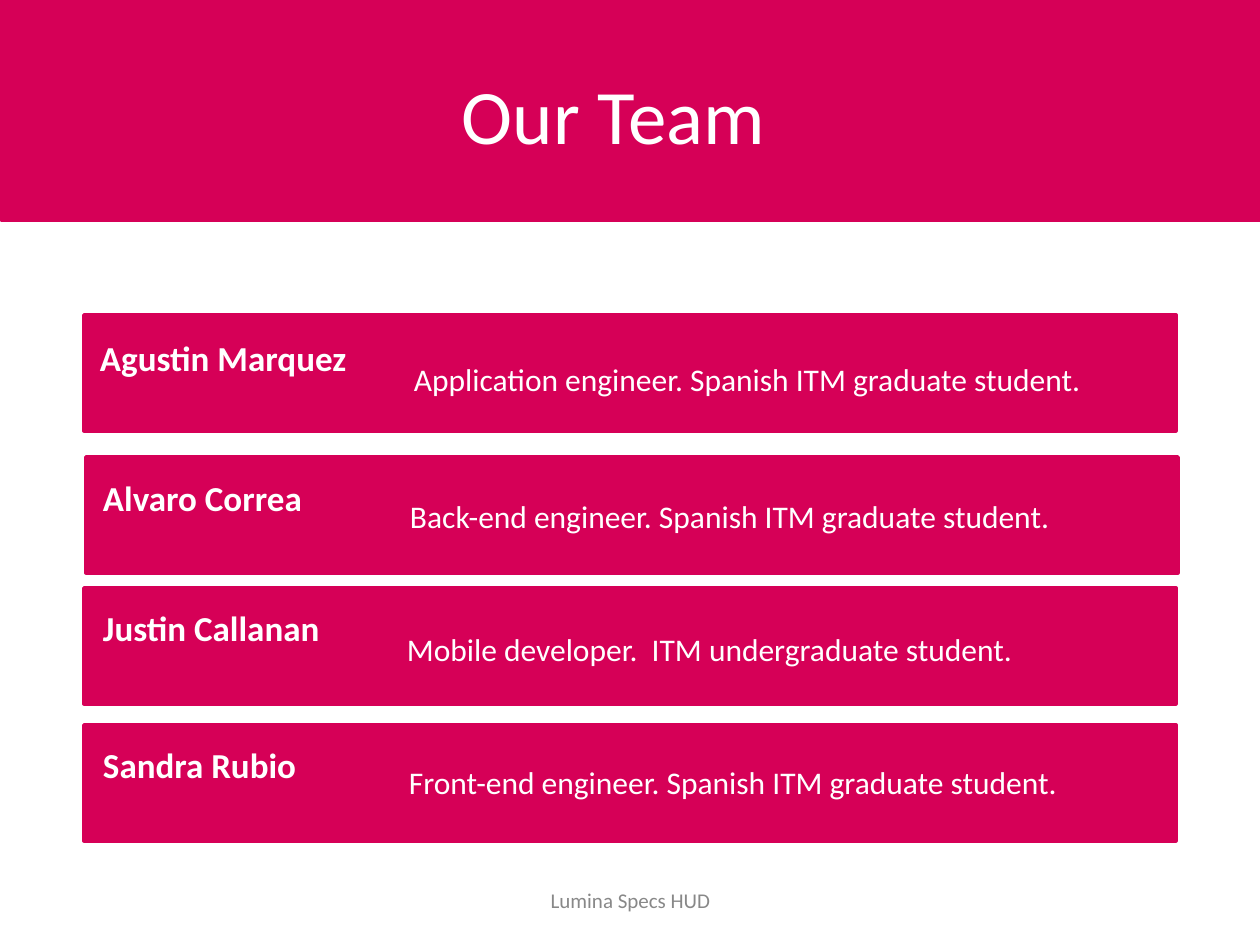
from pptx import Presentation
from pptx import util as u
from pptx.dml.color import RGBColor
from pptx.enum import shapes, text

PX_PER_INCH = 126
COLORS = {"brand": "D60057", "white": "FFFFFF", "gray": "888888"}
FONT = "Calibri"
INSET = 6
ROW_SIZE = (1092, 116)

# Row corner, name, name box, role, role box and role indent; boxes relative to the row
TEAM = [
    ((84, 315), "Agustin Marquez", (16, 13, 305, 58),
     "Application engineer. Spanish ITM graduate student.", (285, 39, 806, 64), 45),
    ((86, 457), "Alvaro Correa", (17, 12, 297, 57),
     "Back-end engineer. Spanish ITM graduate student.", (279, 34, 788, 68), 45),
    ((84, 588), "Justin Callanan", (19, 11, 297, 57),
     "Mobile developer.  ITM undergraduate student.", (271, 36, 757, 71), 52),
    ((84, 725), "Sandra Rubio", (19, 11, 297, 57),
     "Front-end engineer. Spanish ITM graduate student.", (280, 32, 791, 69), 45),
]


def px(length):
    return u.Emu(round(length * u.Inches(1) / PX_PER_INCH))


def color(name):
    return RGBColor.from_string(COLORS[name])


def add_panel(slide, box):
    """Add a rectangle in the brand colour."""
    panel = slide.shapes.add_shape(shapes.MSO_SHAPE.RECTANGLE, *map(px, box))
    panel.shadow.inherit = False
    panel.fill.solid()
    panel.fill.fore_color.rgb = color("brand")
    panel.line.color.rgb = color("brand")
    panel.line.width = u.Pt(2)
    return panel


def write(shape, words, size, fill="white", bold=False, align=text.PP_ALIGN.LEFT,
          anchor=text.MSO_ANCHOR.MIDDLE, inset=0, left=None):
    """Set one line of text; left overrides the inset on that side."""
    frame = shape.text_frame
    frame.text = words
    frame.word_wrap = True
    frame.auto_size = text.MSO_AUTO_SIZE.NONE
    frame.vertical_anchor = anchor
    frame.margin_top = frame.margin_right = frame.margin_bottom = px(inset)
    frame.margin_left = px(inset if left is None else left)
    paragraph = frame.paragraphs[0]
    paragraph.alignment = align
    font = paragraph.runs[0].font
    font.name = FONT
    font.size = u.Pt(size)
    font.bold = bold
    font.color.rgb = color(fill)


def add_header(slide, box):
    left, top, width, height = box
    band = add_panel(slide, box)
    title = slide.shapes.title
    title.left, title.top = px(left + 455), px(top + 62)
    title.width, title.height = px(348), px(102)
    write(title, "Our Team", 44, anchor=text.MSO_ANCHOR.TOP, inset=INSET)
    title._element.addprevious(band._element)


def add_member(slide, corner, name, name_box, role, role_box, indent):
    left, top = corner

    def inside(box):
        return (left + box[0], top + box[1], *box[2:])

    add_panel(slide, (*corner, *ROW_SIZE))
    write(add_panel(slide, inside(role_box)), role, 18,
          anchor=text.MSO_ANCHOR.TOP, inset=INSET, left=indent)
    write(add_panel(slide, inside(name_box)), name, 20, bold=True)


def add_footer(slide, box):
    footer = slide.shapes.add_textbox(*map(px, box))
    write(footer, "Lumina Specs HUD", 12, "gray", align=text.PP_ALIGN.CENTER)


def main():
    presentation = Presentation()
    presentation.slide_width, presentation.slide_height = px(1260), px(945)
    slide = presentation.slides.add_slide(presentation.slide_layouts[5])
    add_header(slide, (1, 0, 1260, 220))
    for member in TEAM:
        add_member(slide, *member)
    add_footer(slide, (431, 882, 399, 37))
    presentation.save("out.pptx")


if __name__ == "__main__":
    main()
